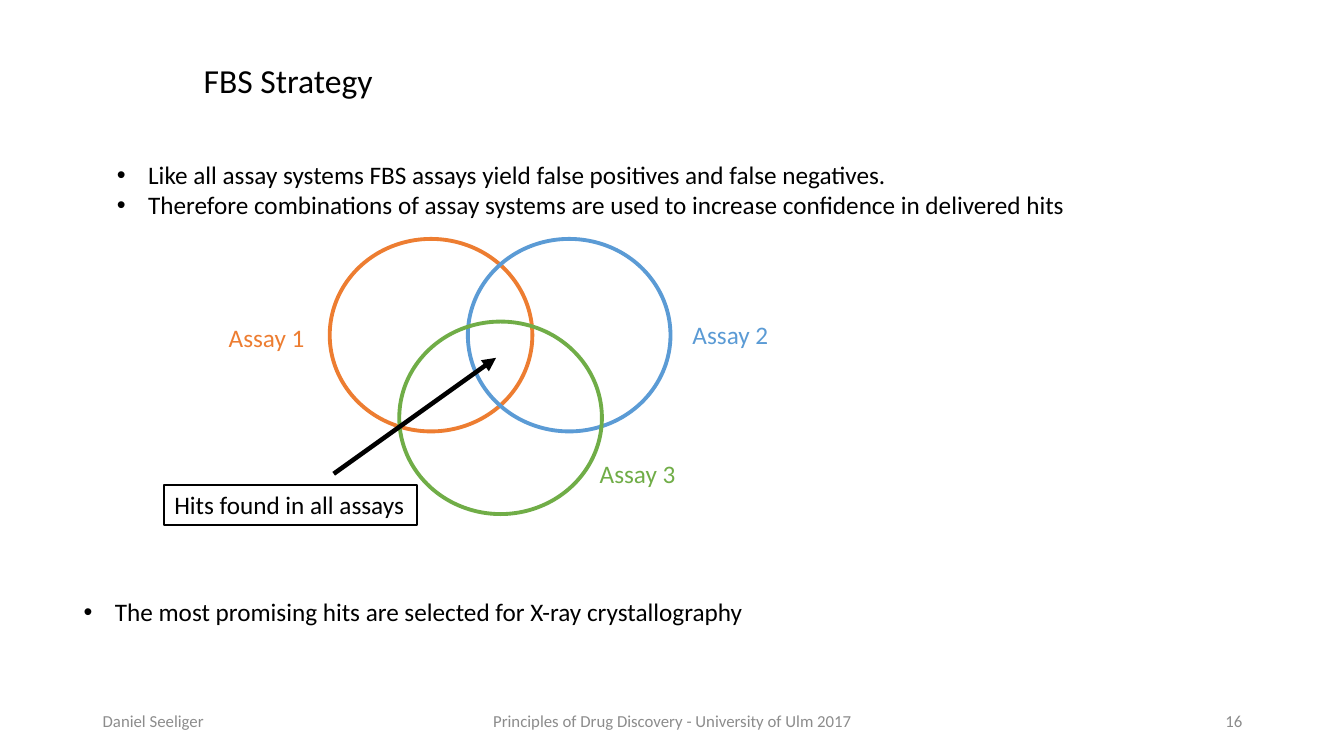
from pptx import Presentation
from pptx import util as u
from pptx.dml.color import RGBColor
from pptx.enum import shapes, text
from pptx.oxml.ns import qn
from lxml import etree

PX = 9144  # 100 px to the inch
COLORS = {"ink": "000000", "orange": "ED7D31", "blue": "5B9BD5",
          "green": "70AD47", "grey": "8C8C8C"}
LEFT, CENTER, RIGHT = (text.PP_ALIGN.LEFT, text.PP_ALIGN.CENTER,
                       text.PP_ALIGN.RIGHT)


def px(*lengths):
    return [u.Emu(n * PX) for n in lengths]


def rgb(name):
    return RGBColor.from_string(COLORS[name])


class Deck:
    """Holds the style and the current slide."""
    font = "Calibri"

    def __init__(self, width, height):
        self.prs = Presentation()
        self.prs.slide_width, self.prs.slide_height = px(width, height)

    def new_slide(self, layout):
        self.s = self.prs.slides.add_slide(self.prs.slide_layouts[layout])

    def fill_text(self, sp, lines, size, color="ink", align=LEFT, wrap=False,
                  anchor=text.MSO_ANCHOR.TOP, bullet=False):
        tf = sp.text_frame
        tf.text = "\n".join(lines)
        tf.word_wrap = wrap
        tf.vertical_anchor = anchor
        tf.auto_size = (text.MSO_AUTO_SIZE.NONE if wrap
                        else text.MSO_AUTO_SIZE.SHAPE_TO_FIT_TEXT)
        for p in tf.paragraphs:
            p.alignment = align
            p.space_before = u.Pt(0)
            if bullet:
                pPr = p._p.get_or_add_pPr()
                pPr.set("marL", str(31 * PX))
                pPr.set("indent", str(-31 * PX))
                etree.SubElement(pPr, qn("a:buFont"), typeface="Arial")
                etree.SubElement(pPr, qn("a:buChar"), char="•")
            for r in p.runs:
                r.font.name = self.font
                r.font.size = u.Pt(size)
                r.font.color.rgb = rgb(color)

    def place(self, idx, box):
        sp = self.s.placeholders[idx]
        sp.left, sp.top, sp.width, sp.height = px(*box)
        return sp

    def title(self, box, line):
        self.fill_text(self.place(0, box), [line], 24)

    def bullets(self, idx, box, lines):
        self.fill_text(self.place(idx, box), lines, 18, wrap=True, bullet=True)

    def label(self, box, line, size=18, **style):
        sp = self.s.shapes.add_textbox(*px(*box))
        self.fill_text(sp, [line], size, **style)
        return sp

    def framed_label(self, box, line):
        sp = self.label(box, line)
        sp.line.color.rgb = rgb("ink")
        sp.line.width = u.Pt(1.25)

    def ring(self, box, color):
        sp = self.s.shapes.add_shape(shapes.MSO_SHAPE.OVAL, *px(*box))
        sp.shadow.inherit = False
        sp.fill.background()
        sp.line.color.rgb = rgb(color)
        sp.line.width = u.Pt(2.75)

    def arrow(self, start, end):
        c = self.s.shapes.add_connector(shapes.MSO_CONNECTOR.STRAIGHT,
                                        *px(*start, *end))
        c.line.color.rgb = rgb("ink")
        c.line.width = u.Pt(3.25)
        spPr = c._element.spPr
        etree.SubElement(spPr.find(qn("a:ln")), qn("a:tailEnd"),
                         type="triangle")
        etree.SubElement(spPr, qn("a:effectLst"))


def main():
    d = Deck(1333, 750)
    d.new_slide(3)  # title and two lists

    # Title and lists
    d.title((192, 54, 189, 50), "FBS Strategy")
    d.bullets(1, (106, 153, 972, 71), [
        "Like all assay systems FBS assays yield false positives and false negatives.",
        "Therefore combinations of assay systems are used to increase confidence in delivered hits",
    ])
    d.bullets(2, (73, 587, 681, 40), [
        "The most promising hits are selected for X-ray crystallography"])

    # Three overlapping assays
    assays = [("Assay 1", "orange", (327, 237), (217, 315)),
              ("Assay 2", "blue", (464, 237), (677, 312)),
              ("Assay 3", "green", (396, 319), (585, 450))]
    for name, color, ring_at, label_at in assays:
        d.ring((*ring_at, 201, 191), color)
        d.label((*label_at, 96, 40), name, color=color)

    # Shared hits
    d.arrow((331, 470), (492, 355))
    d.framed_label((163, 481, 251, 40), "Hits found in all assays")

    # Footer
    footer = [(92, 300, "Daniel Seeliger", LEFT),
              (442, 450, "Principles of Drug Discovery - University of Ulm 2017", CENTER),
              (942, 300, "16", RIGHT)]
    for left, width, line, align in footer:
        d.label((left, 695, width, 40), line, 12, color="grey", align=align,
                wrap=True, anchor=text.MSO_ANCHOR.MIDDLE)

    d.prs.save("out.pptx")


if __name__ == "__main__":
    main()
